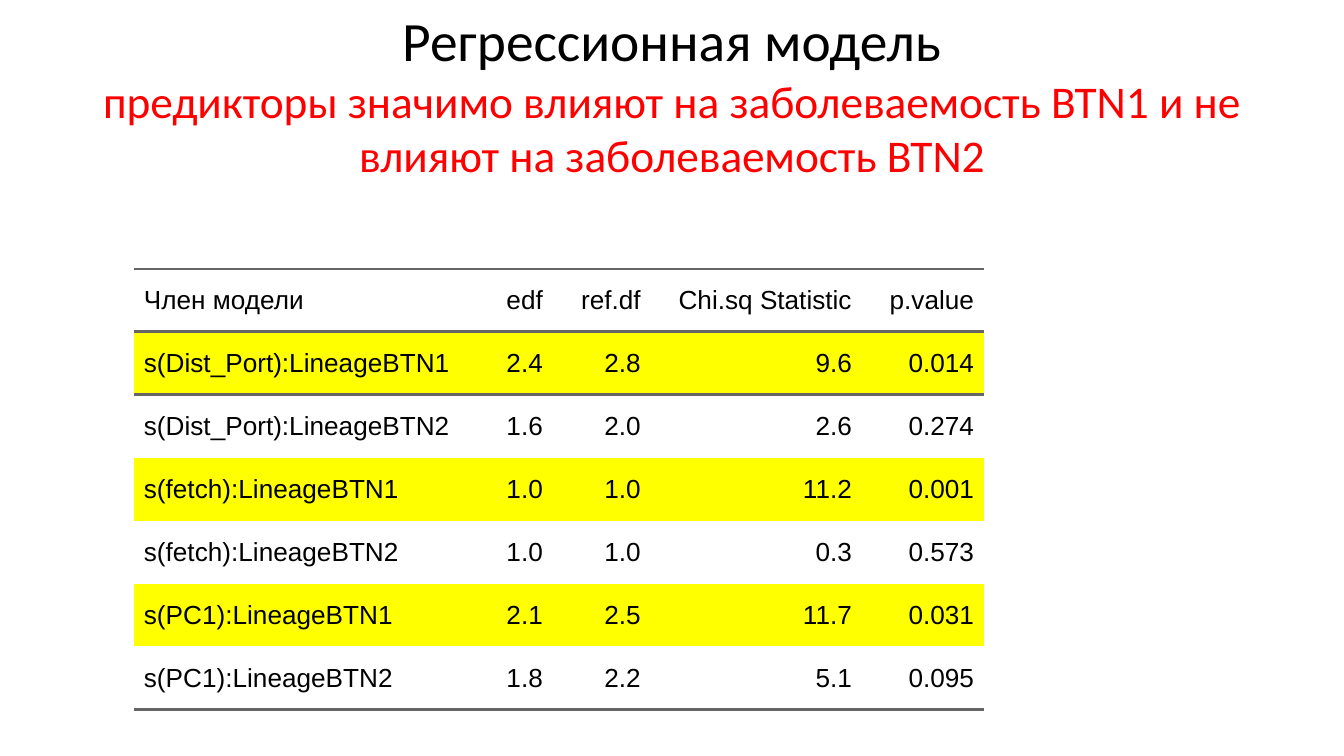
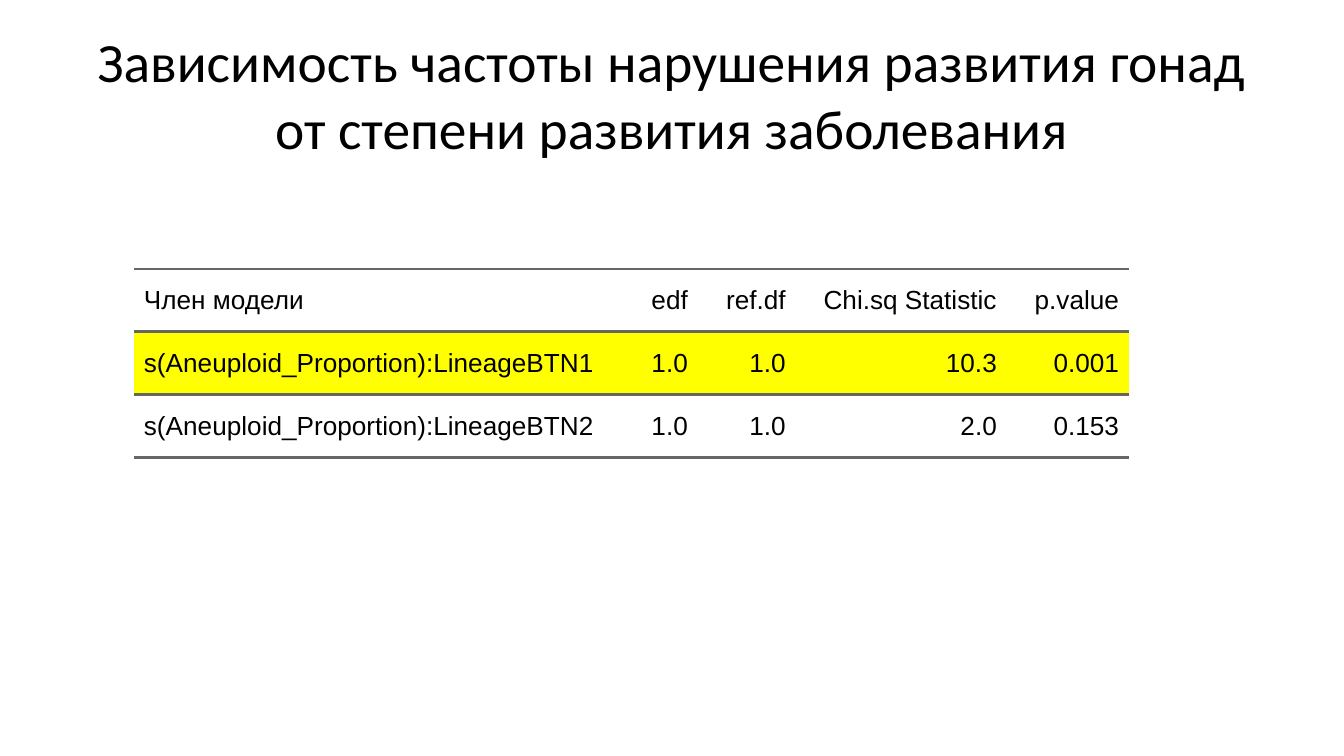
import lxml.etree
import pptx
import pptx.dml.color
import pptx.enum.text
import pptx.oxml.ns
import pptx.util

Cm = pptx.util.Cm
Pt = pptx.util.Pt
ALIGN = pptx.enum.text.PP_ALIGN
MIDDLE = pptx.enum.text.MSO_ANCHOR.MIDDLE
qn = pptx.oxml.ns.qn

COLORS = {"text": "000000", "finding": "FF0000", "significant": "FFFF00", "rule": "666666"}
NO_STYLE_NO_GRID = "{2D5ABB26-0587-4C30-8999-92F81FD0307C}"
HEADER = ["Член модели", "edf", "ref.df", "Chi.sq Statistic", "p.value"]
VALUE_WIDTHS = [1.42, 1.85, 3.99, 2.31]
ROW_HEIGHT = 1.19
CELL_MARGIN = Cm(0.18)
SIGNIFICANCE = 0.05

SLIDES = [
    {
        "title": "Регрессионная модель",
        "finding": "предикторы значимо влияют на заболеваемость BTN1 и не влияют на заболеваемость BTN2",
        "term_width": 6.48,
        "terms": [
            ["s(Dist_Port):LineageBTN1", "2.4", "2.8", "9.6", "0.014"],
            ["s(Dist_Port):LineageBTN2", "1.6", "2.0", "2.6", "0.274"],
            ["s(fetch):LineageBTN1", "1.0", "1.0", "11.2", "0.001"],
            ["s(fetch):LineageBTN2", "1.0", "1.0", "0.3", "0.573"],
            ["s(PC1):LineageBTN1", "2.1", "2.5", "11.7", "0.031"],
            ["s(PC1):LineageBTN2", "1.8", "2.2", "5.1", "0.095"],
        ],
    },
    {
        "title": "Зависимость частоты нарушения развития гонад от степени развития заболевания",
        "finding": None,
        "term_width": 9.22,
        "terms": [
            ["s(Aneuploid_Proportion):LineageBTN1", "1.0", "1.0", "10.3", "0.001"],
            ["s(Aneuploid_Proportion):LineageBTN2", "1.0", "1.0", "2.0", "0.153"],
        ],
    },
]


def add_text(paragraph, text, size=14, font="Arial", color="text", align=ALIGN.LEFT):
    paragraph.alignment = align
    run = paragraph.add_run()
    run.text = text
    run.font.size = Pt(size)
    run.font.name = font
    run.font.color.rgb = pptx.dml.color.RGBColor.from_string(COLORS[color])


def add_rule(cell, side):
    """Draw a border on one side of a cell: lnT is the top, lnB the bottom."""
    properties = cell._tc.get_or_add_tcPr()
    line = lxml.etree.SubElement(properties, qn(f"a:{side}"), w=str(Pt(1.5)))
    fill = lxml.etree.SubElement(line, qn("a:solidFill"))
    lxml.etree.SubElement(fill, qn("a:srgbClr"), val=COLORS["rule"])


presentation = pptx.Presentation()
presentation.slide_width = Cm(25.4)
presentation.slide_height = Cm(14.29)

for content in SLIDES:
    slide = presentation.slides.add_slide(presentation.slide_layouts[6])

    title = slide.shapes.add_textbox(Cm(1.27), Cm(0.58), Cm(22.86), Cm(2.39)).text_frame
    title.word_wrap = True
    title.vertical_anchor = MIDDLE
    paragraph = title.paragraphs[0]
    add_text(paragraph, content["title"], size=29.7, font="Calibri", align=ALIGN.CENTER)
    if content["finding"]:
        paragraph.add_line_break()
        add_text(paragraph, content["finding"], size=24.3, font="Calibri",
                 color="finding", align=ALIGN.CENTER)

    rows = [HEADER] + content["terms"]
    widths = [content["term_width"]] + VALUE_WIDTHS
    table = slide.shapes.add_table(
        len(rows), len(widths), Cm(2.54), Cm(5.08),
        Cm(sum(widths)), Cm(ROW_HEIGHT * len(rows))).table
    table.first_row = False
    table.horz_banding = False
    table._tbl.tblPr.find(qn("a:tableStyleId")).text = NO_STYLE_NO_GRID
    for column, width in zip(table.columns, widths):
        column.width = Cm(width)

    for row_index, row in enumerate(rows):
        table.rows[row_index].height = Cm(ROW_HEIGHT)
        significant = row_index > 0 and float(row[-1]) < SIGNIFICANCE
        for column_index, text in enumerate(row):
            cell = table.cell(row_index, column_index)
            cell.margin_left = cell.margin_right = CELL_MARGIN
            cell.margin_top = cell.margin_bottom = CELL_MARGIN
            cell.vertical_anchor = MIDDLE
            if row_index in (0, 1):
                add_rule(cell, "lnT")
            if row_index in (0, len(rows) - 1):
                add_rule(cell, "lnB")
            if significant:
                cell.fill.solid()
                cell.fill.fore_color.rgb = pptx.dml.color.RGBColor.from_string(COLORS["significant"])
            else:
                cell.fill.background()
            add_text(cell.text_frame.paragraphs[0], text,
                     align=ALIGN.RIGHT if column_index else ALIGN.LEFT)

presentation.save("out.pptx")
